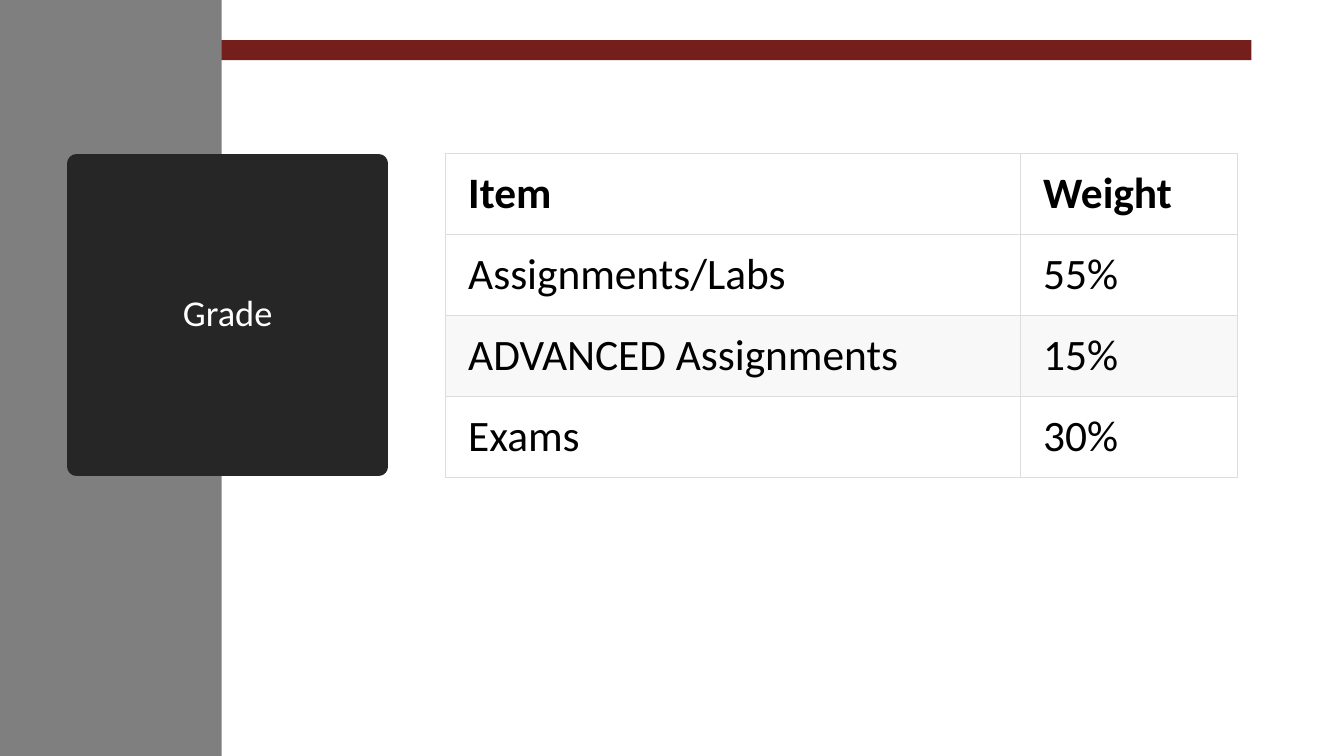
from lxml import etree
from pptx import Presentation
from pptx import util as u
from pptx.dml.color import RGBColor
from pptx.enum import shapes, text
from pptx.oxml import ns

WHITE = RGBColor(0xFF, 0xFF, 0xFF)
BLACK = RGBColor(0x00, 0x00, 0x00)
MAROON = RGBColor(0x75, 0x1F, 0x1C)
GREY = RGBColor(0x7F, 0x7F, 0x7F)
CHARCOAL = RGBColor(0x26, 0x26, 0x26)
BAND = RGBColor(0xF8, 0xF8, 0xF8)
BORDER = RGBColor(0xDD, 0xDD, 0xDD)

GRADES = [
    ("Item", "Weight"),
    ("Assignments/Labs", "55%"),
    ("ADVANCED Assignments", "15%"),
    ("Exams", "30%"),
]


class GradeSlide:
    """Holds the style and the slide being built."""

    font_name = "Calibri"
    title_size = u.Pt(26)
    table_size = u.Pt(31)

    def __init__(self, presentation):
        self.slide = presentation.slides.add_slide(presentation.slide_layouts[6])

    def label(self, text_frame, wording, size, color, bold=False):
        text_frame.text = wording
        paragraph = text_frame.paragraphs[0]
        font = paragraph.runs[0].font
        font.name, font.size, font.bold = self.font_name, size, bold
        font.color.rgb = color
        return paragraph

    def block(self, left, top, width, height, color):
        shape = self.slide.shapes.add_shape(
            shapes.MSO_SHAPE.RECTANGLE,
            u.Cm(left), u.Cm(top), u.Cm(width), u.Cm(height))
        shape.shadow.inherit = False
        shape.fill.solid()
        shape.fill.fore_color.rgb = color
        shape.line.fill.background()
        return shape

    def title(self, wording, left, top, side):
        shape = self.block(left, top, side, side, CHARCOAL)
        # The thick outline with round joins softens the corners
        shape.line.color.rgb = CHARCOAL
        shape.line.width = u.Pt(13.75)
        outline = shape.element.spPr.find(ns.qn("a:ln"))
        etree.SubElement(outline, ns.qn("a:round"))
        shape.text_frame.word_wrap = True
        shape.text_frame.vertical_anchor = text.MSO_ANCHOR.MIDDLE
        paragraph = self.label(shape.text_frame, wording, self.title_size, WHITE)
        paragraph.alignment = text.PP_ALIGN.CENTER
        paragraph.line_spacing = 0.9

    def borders(self, cell):
        properties = cell._tc.get_or_add_tcPr()
        for side in ("lnL", "lnR", "lnT", "lnB"):
            line = etree.SubElement(properties, ns.qn(f"a:{side}"), w=str(u.Pt(0.75)))
            fill = etree.SubElement(line, ns.qn("a:solidFill"))
            etree.SubElement(fill, ns.qn("a:srgbClr"), val=str(BORDER))

    def table(self, rows, left, top, column_widths, row_height):
        table = self.slide.shapes.add_table(
            len(rows), len(column_widths), u.Cm(left), u.Cm(top),
            u.Cm(sum(column_widths)), u.Cm(row_height * len(rows))).table
        for column, width in zip(table.columns, column_widths):
            column.width = u.Cm(width)
        for row_index, row in enumerate(rows):
            table.rows[row_index].height = u.Cm(row_height)
            banded = row_index > 0 and row_index % 2 == 0
            for column_index, wording in enumerate(row):
                cell = table.cell(row_index, column_index)
                self.borders(cell)
                cell.fill.solid()
                cell.fill.fore_color.rgb = BAND if banded else WHITE
                cell.vertical_anchor = text.MSO_ANCHOR.MIDDLE
                cell.margin_left = cell.margin_right = u.Cm(0.58)
                cell.margin_top = cell.margin_bottom = u.Cm(0.28)
                self.label(cell.text_frame, wording, self.table_size, BLACK,
                           bold=row_index == 0)


def main():
    presentation = Presentation()
    presentation.slide_width = u.Cm(33.87)
    presentation.slide_height = u.Cm(19.05)
    grade_slide = GradeSlide(presentation)

    # Top bar and side panel
    grade_slide.block(2.33, 1.01, 29.21, 0.51, MAROON)
    grade_slide.block(0, 0, 5.59, 19.05, GREY)

    # Title and grade weights
    grade_slide.title("Grade", 1.93, 4.13, 7.62)
    grade_slide.table(GRADES, 11.22, 3.86, (14.49, 5.48), 2.04)

    presentation.save("out.pptx")


if __name__ == "__main__":
    main()
